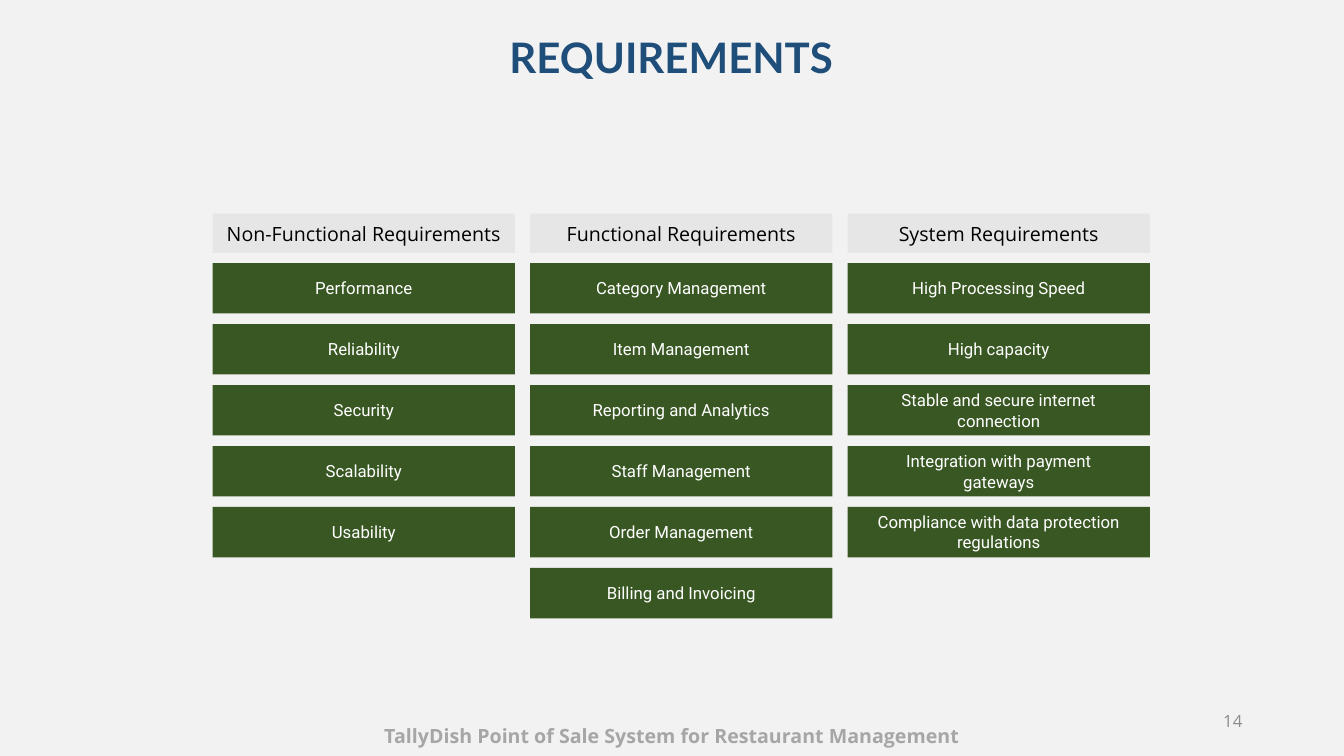
from pptx import Presentation
from pptx.dml.color import RGBColor
from pptx.enum.shapes import MSO_SHAPE as Shape
from pptx.enum.text import MSO_ANCHOR as Anchor, PP_ALIGN as Align

PX = 4572
COLORS = {
    "background": "F2F2F2", "title": "1E4E79", "header": "E7E6E6",
    "header_text": "000000", "bar": "385723", "bar_text": "FFFFFF",
    "footer": "A6A6A6", "number": "8C8C8C",
}
REQUIREMENTS = {
    "Non-Functional Requirements": [
        "Performance", "Reliability", "Security", "Scalability", "Usability"],
    "Functional Requirements": [
        "Category Management", "Item Management", "Reporting and Analytics",
        "Staff Management", "Order Management", "Billing and Invoicing"],
    "System Requirements": [
        "High Processing Speed", "High capacity",
        "Stable and secure internet connection",
        "Integration with payment gateways",
        "Compliance with data protection regulations"],
}
COLUMN_WIDTH, COLUMN_GAP = 600, 30
HEADER_HEIGHT, BAR_HEIGHT = 78, 100
FIRST_BAR, BAR_PITCH = 98, 121


def color(name):
    """Return the named palette colour."""
    return RGBColor.from_string(COLORS[name])


def write(holder, wording, size, font_name, ink, bold=False,
          align=Align.CENTER, anchor=Anchor.MIDDLE, margins=(20, 10)):
    """Put one styled paragraph into a shape or text box."""
    frame = holder.text_frame
    frame.word_wrap = True
    frame.vertical_anchor = anchor
    side, end = (margin * PX for margin in margins)
    frame.margin_left = frame.margin_right = side
    frame.margin_top = frame.margin_bottom = end
    paragraph = frame.paragraphs[0]
    paragraph.text = wording
    paragraph.alignment = align
    font = paragraph.font
    font.size = size * 12700
    font.name = font_name
    font.bold = bold
    font.color.rgb = color(ink)


def add_label(slide, box, wording, size, font_name, ink, **style):
    """Add a text box that fills the given box."""
    label = slide.shapes.add_textbox(*(length * PX for length in box))
    write(label, wording, size, font_name, ink, **style)


def add_block(slide, box, fill, wording, size, font_name, ink, **style):
    """Add a filled rectangle with centred wording."""
    block = slide.shapes.add_shape(
        Shape.RECTANGLE, *(length * PX for length in box))
    block.shadow.inherit = False
    block.fill.solid()
    block.fill.fore_color.rgb = color(fill)
    block.line.fill.background()
    write(block, wording, size, font_name, ink, **style)


def add_column(slide, left, top, heading, requirements):
    """Add a heading with its requirement bars below."""
    add_block(slide, (left, top, COLUMN_WIDTH, HEADER_HEIGHT), "header",
              heading, 14, "Open Sans", "header_text")
    for row, requirement in enumerate(requirements):
        bar_top = top + FIRST_BAR + row * BAR_PITCH
        add_block(slide, (left, bar_top, COLUMN_WIDTH, BAR_HEIGHT), "bar",
                  requirement, 12, "Roboto", "bar_text", margins=(50, 10))


def add_columns(slide, left, top):
    """Add all requirement columns side by side."""
    for index, (heading, requirements) in enumerate(REQUIREMENTS.items()):
        column_left = left + index * (COLUMN_WIDTH + COLUMN_GAP)
        add_column(slide, column_left, top, heading, requirements)


def add_footer(slide, left, top, width):
    """Add the project name and the page number."""
    add_label(slide, (left, top + 30, width, 80),
              "TallyDish Point of Sale System for Restaurant Management",
              14, "Open Sans", "footer", bold=True)
    add_label(slide, (left + width - 782, top, 600, 80), "14",
              12, "Open Sans", "number", align=Align.RIGHT)


def main():
    """Build and save the requirements slide."""
    deck = Presentation()
    deck.slide_width, deck.slide_height = 2667 * PX, 1500 * PX
    slide = deck.slides.add_slide(deck.slide_layouts[6])
    slide.background.fill.solid()
    slide.background.fill.fore_color.rgb = color("background")
    add_label(slide, (280, 52, 2104, 122), "REQUIREMENTS", 30, "Lato",
              "title", bold=True, anchor=Anchor.TOP)
    add_columns(slide, 422, 424)
    add_footer(slide, 0, 1390, 2667)
    deck.save("out.pptx")


if __name__ == "__main__":
    main()
